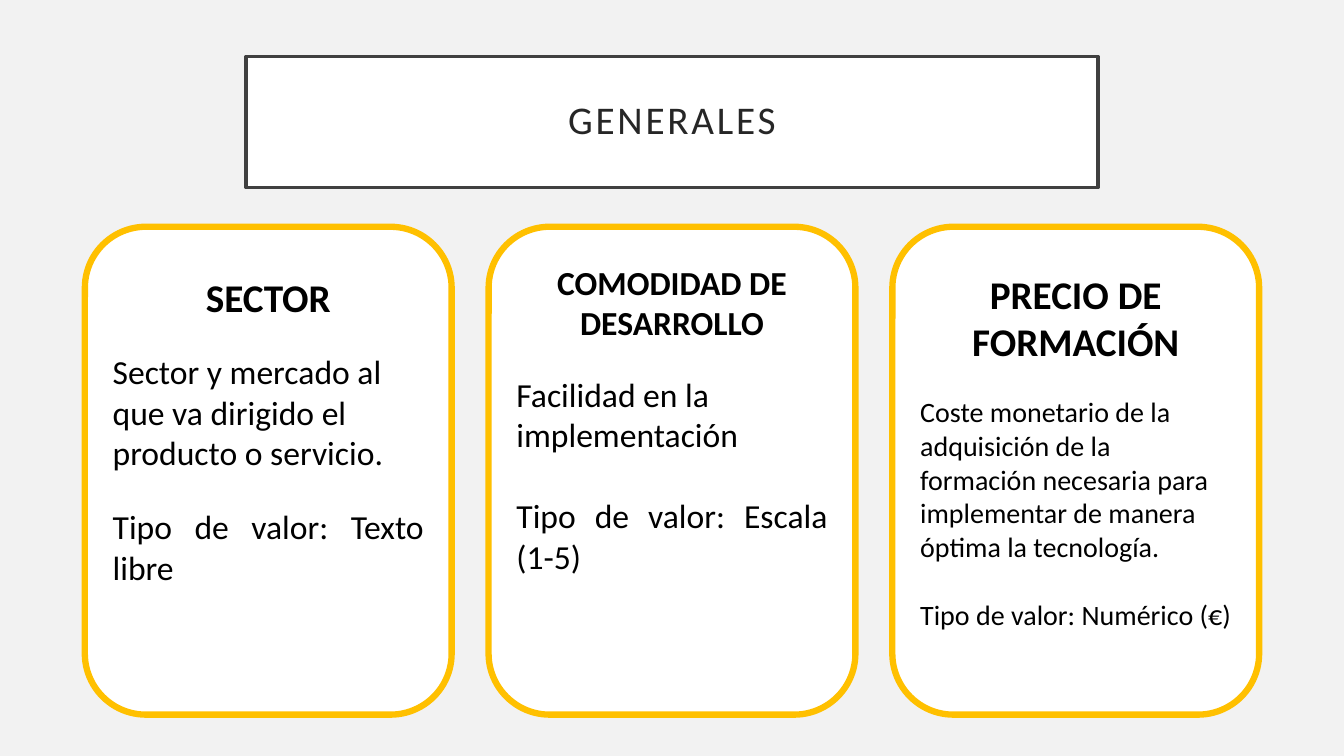
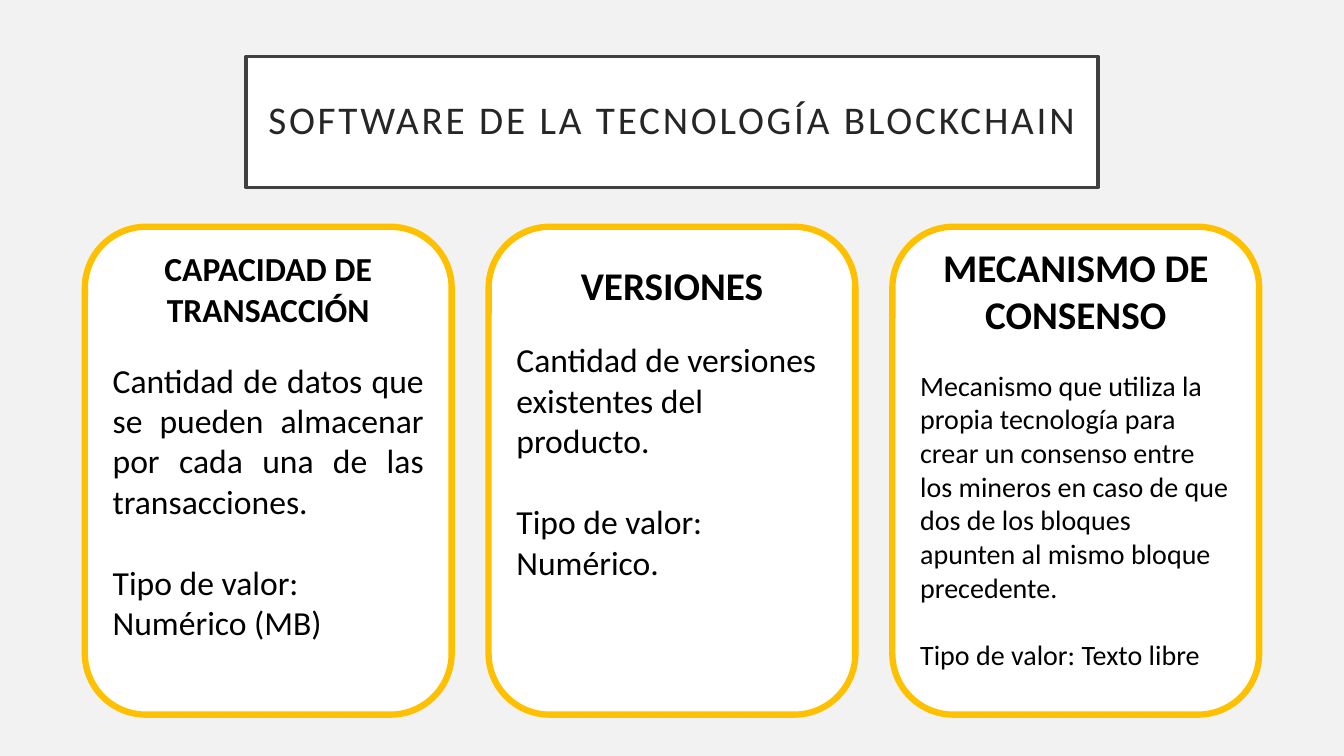
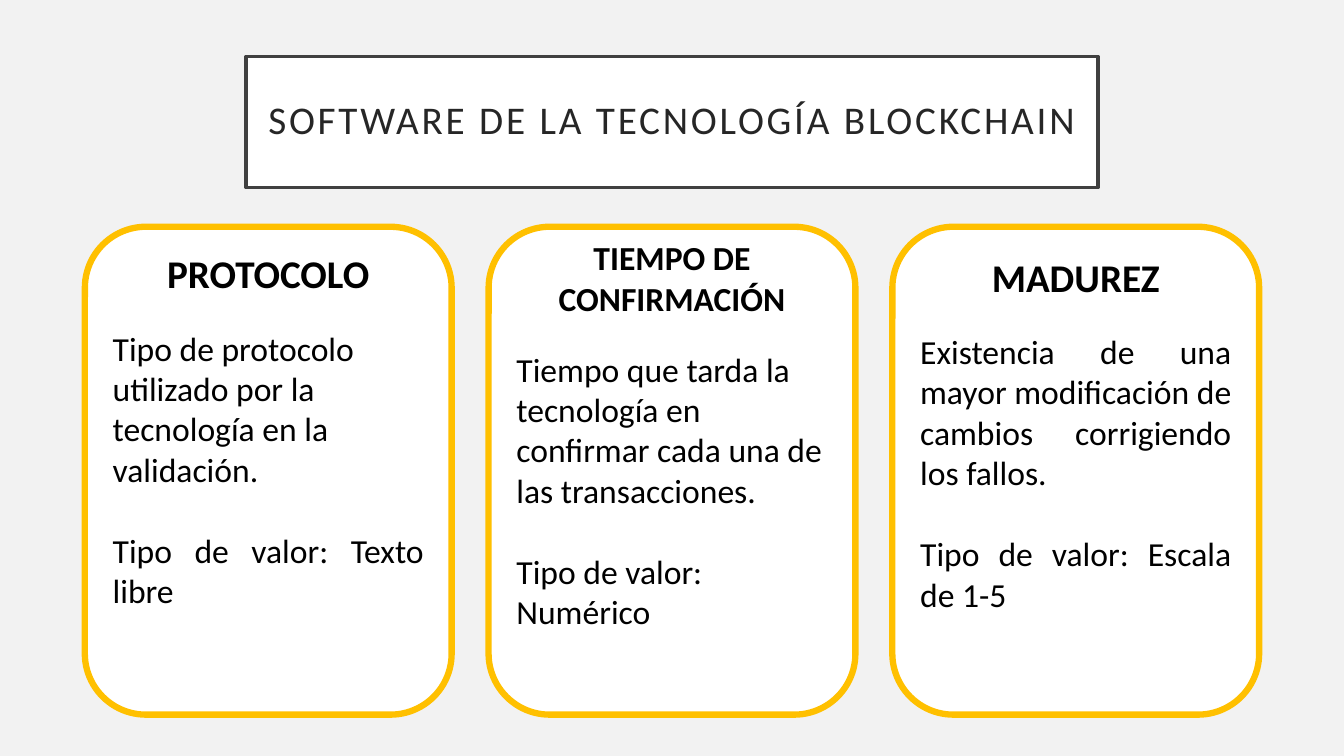
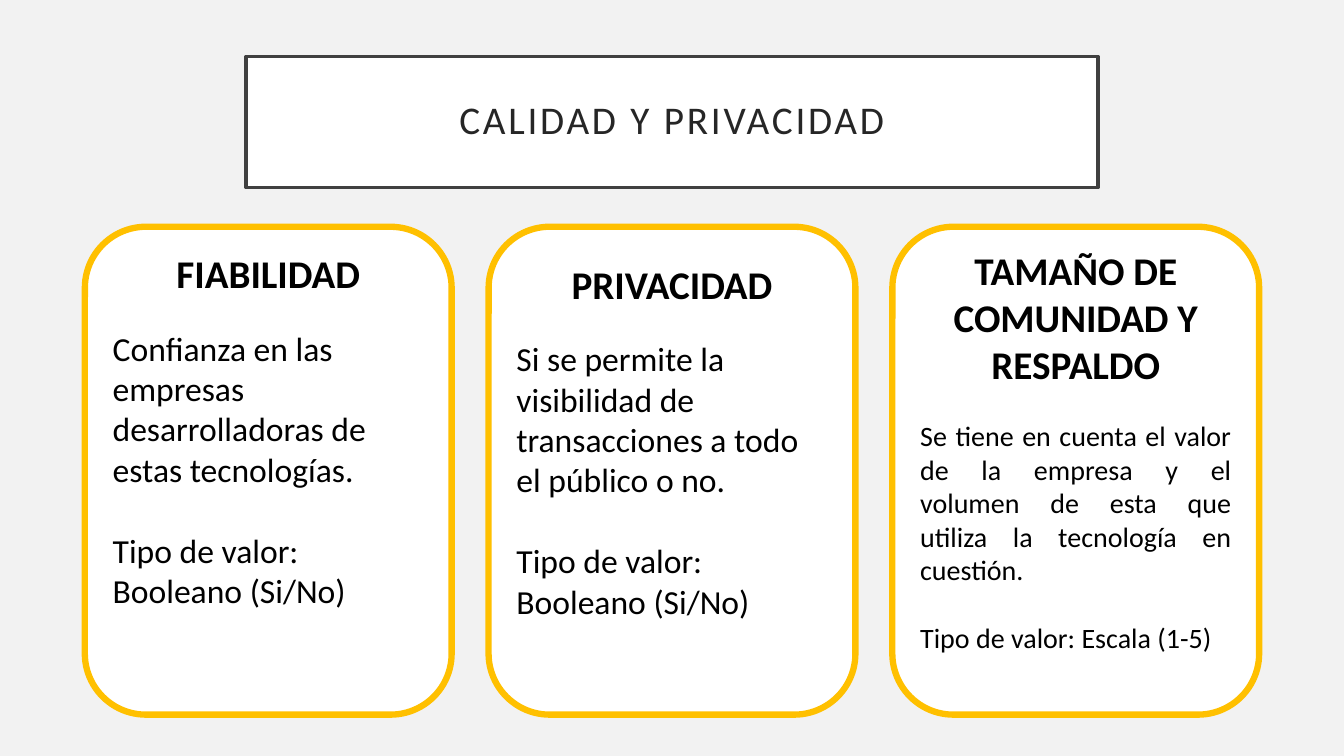
from dataclasses import dataclass

from pptx import Presentation
from pptx.dml.color import RGBColor
from pptx.enum.shapes import MSO_SHAPE
from pptx.enum.text import MSO_ANCHOR, MSO_AUTO_SIZE, PP_ALIGN
from pptx.util import Pt


@dataclass(frozen=True)
class Theme:
    # Colours
    background: str = "F2F2F2"
    panel: str = "FFFFFF"
    title_line: str = "404040"
    title_text: str = "262626"
    card_line: str = "FFC000"
    card_text: str = "000000"
    # Type, in points
    font: str = "Calibri"
    large: int = 28
    medium: int = 24
    small: int = 20
    heading_gap: int = 22
    line_height: float = 1.22


THEME = Theme()

# Layout, in points
SLIDE_W, SLIDE_H = 960, 540
TITLE_W, TITLE_H, TITLE_TOP = 608.4, 93.6, 40.3
CARD_W, CARD_H, CARD_TOP = 262, 348.5, 162
CARD_STEP = 288.4
CARD_LEFT = (SLIDE_W - CARD_W - 2 * CARD_STEP) / 2


@dataclass(frozen=True)
class Card:
    heading: str
    body: str
    value: str
    lift: int  # bottom inset that raises the centred text
    heading_size: int = THEME.large
    body_size: int = THEME.medium
    gap_size: int = 0  # type size of the gap above the value; 0 = body size
    body_justified: bool = False
    value_justified: bool = False


SOFTWARE = "SOFTWARE DE LA TECNOLOGÍA BLOCKCHAIN"
SLIDES = [
    ("GENERALES", [
        Card("SECTOR",
             "Sector y mercado al que va dirigido el producto o servicio.",
             "Tipo de valor: Texto libre", 58,
             gap_size=THEME.small, value_justified=True),
        Card("COMODIDAD DE DESARROLLO", "Facilidad en la implementación",
             "Tipo de valor: Escala (1-5)", 74,
             heading_size=THEME.medium, value_justified=True),
        Card("PRECIO DE FORMACIÓN",
             "Coste monetario de la adquisición de la formación necesaria "
             "para implementar de manera óptima la tecnología.",
             "Tipo de valor: Numérico (€)", 29,
             body_size=THEME.small, value_justified=True),
    ]),
    (SOFTWARE, [
        Card("CAPACIDAD DE TRANSACCIÓN",
             "Cantidad de datos que se pueden almacenar por cada una de las "
             "transacciones.",
             "Tipo de valor: Numérico (MB)", 36,
             heading_size=THEME.medium, body_justified=True),
        Card("VERSIONES", "Cantidad de versiones existentes del producto.",
             "Tipo de valor: Numérico.", 70),
        Card("MECANISMO DE CONSENSO",
             "Mecanismo que utiliza la propia tecnología para crear un "
             "consenso entre los mineros en caso de que dos de los bloques "
             "apunten al mismo bloque precedente.",
             "Tipo de valor: Texto libre", 19,
             body_size=THEME.small, value_justified=True),
    ]),
    (SOFTWARE, [
        Card("PROTOCOLO",
             "Tipo de protocolo utilizado por la tecnología en la validación.",
             "Tipo de valor: Texto libre", 58, value_justified=True),
        Card("TIEMPO DE CONFIRMACIÓN",
             "Tiempo que tarda la tecnología en confirmar cada una de las "
             "transacciones.",
             "Tipo de valor: Numérico", 52, heading_size=THEME.medium),
        Card("MADUREZ",
             "Existencia de una mayor modificación de cambios corrigiendo "
             "los fallos.",
             "Tipo de valor: Escala de 1-5", 53,
             body_justified=True, value_justified=True),
    ]),
    ("CALIDAD Y PRIVACIDAD", [
        Card("FIABILIDAD",
             "Confianza en las empresas desarrolladoras de estas tecnologías.",
             "Tipo de valor: Booleano (Si/No)", 58),
        Card("PRIVACIDAD",
             "Si se permite la visibilidad de transacciones a todo el "
             "público o no.",
             "Tipo de valor: Booleano (Si/No)", 43),
        Card("TAMAÑO DE COMUNIDAD Y RESPALDO",
             "Se tiene en cuenta el valor de la empresa y el volumen de esta "
             "que utiliza la tecnología en cuestión.",
             "Tipo de valor: Escala (1-5)", 29, body_size=THEME.small,
             body_justified=True, value_justified=True),
    ]),
]


def write(p, text, *, size, color=THEME.card_text, bold=False,
          align=PP_ALIGN.LEFT, before=0, line=1.0, tracking=0):
    """Fill one paragraph with a formatted run."""
    p.alignment = align
    p.space_before, p.space_after = Pt(before), Pt(0)
    p.line_spacing = line
    r = p.add_run()
    r.text = text
    r.font.name, r.font.size, r.font.bold = THEME.font, Pt(size), bold
    r.font.color.rgb = RGBColor.from_string(color)
    if tracking:
        r.font._element.set("spc", str(tracking * 100))


def style_panel(s, line_color, line_width):
    s.fill.solid()
    s.fill.fore_color.rgb = RGBColor.from_string(THEME.panel)
    s.line.color.rgb = RGBColor.from_string(line_color)
    s.line.width = Pt(line_width)


def prepare_frame(tf, side, top, bottom):
    tf.word_wrap = True
    tf.auto_size = MSO_AUTO_SIZE.NONE
    tf.vertical_anchor = MSO_ANCHOR.MIDDLE
    tf.margin_left = tf.margin_right = Pt(side)
    tf.margin_top, tf.margin_bottom = Pt(top), Pt(bottom)


def add_title(s, text):
    sp = s.shapes.title
    sp.left, sp.top = Pt((SLIDE_W - TITLE_W) / 2), Pt(TITLE_TOP)
    sp.width, sp.height = Pt(TITLE_W), Pt(TITLE_H)
    style_panel(sp, THEME.title_line, 2.5)
    prepare_frame(sp.text_frame, 14, 14, 14)
    write(sp.text_frame.paragraphs[0], text, size=THEME.large,
          color=THEME.title_text, align=PP_ALIGN.CENTER, line=0.9, tracking=2)


def add_card(s, column, card):
    sp = s.shapes.add_shape(
        MSO_SHAPE.ROUNDED_RECTANGLE, Pt(CARD_LEFT + column * CARD_STEP),
        Pt(CARD_TOP), Pt(CARD_W), Pt(CARD_H))
    sp.shadow.inherit = False
    style_panel(sp, THEME.card_line, 4.5)
    tf = sp.text_frame
    prepare_frame(tf, 7.2, 0, card.lift)
    # Heading, description, kind of value
    write(tf.paragraphs[0], card.heading, size=card.heading_size, bold=True,
          align=PP_ALIGN.CENTER)
    value_gap = (card.gap_size or card.body_size) * THEME.line_height
    for text, justified, gap in (
            (card.body, card.body_justified, THEME.heading_gap),
            (card.value, card.value_justified, value_gap)):
        write(tf.add_paragraph(), text, size=card.body_size, before=gap,
              align=PP_ALIGN.JUSTIFY if justified else PP_ALIGN.LEFT)


def main():
    prs = Presentation()
    prs.slide_width, prs.slide_height = Pt(SLIDE_W), Pt(SLIDE_H)
    # Shared background
    fill = prs.slide_master.background.fill
    fill.solid()
    fill.fore_color.rgb = RGBColor.from_string(THEME.background)
    # Slides
    for title, cards in SLIDES:
        s = prs.slides.add_slide(prs.slide_layouts[5])
        add_title(s, title)
        for column, card in enumerate(cards):
            add_card(s, column, card)
    prs.save("out.pptx")


if __name__ == "__main__":
    main()
